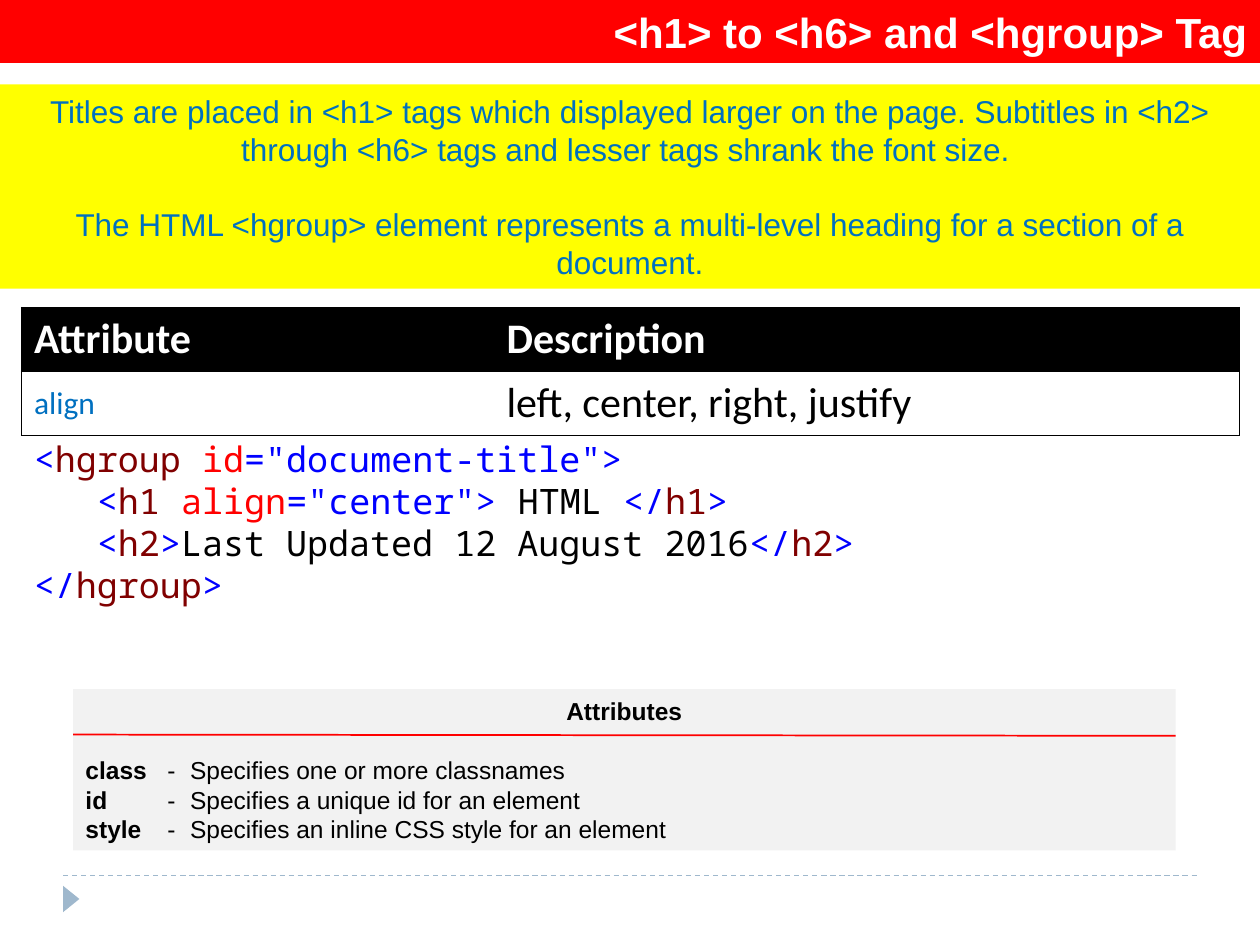
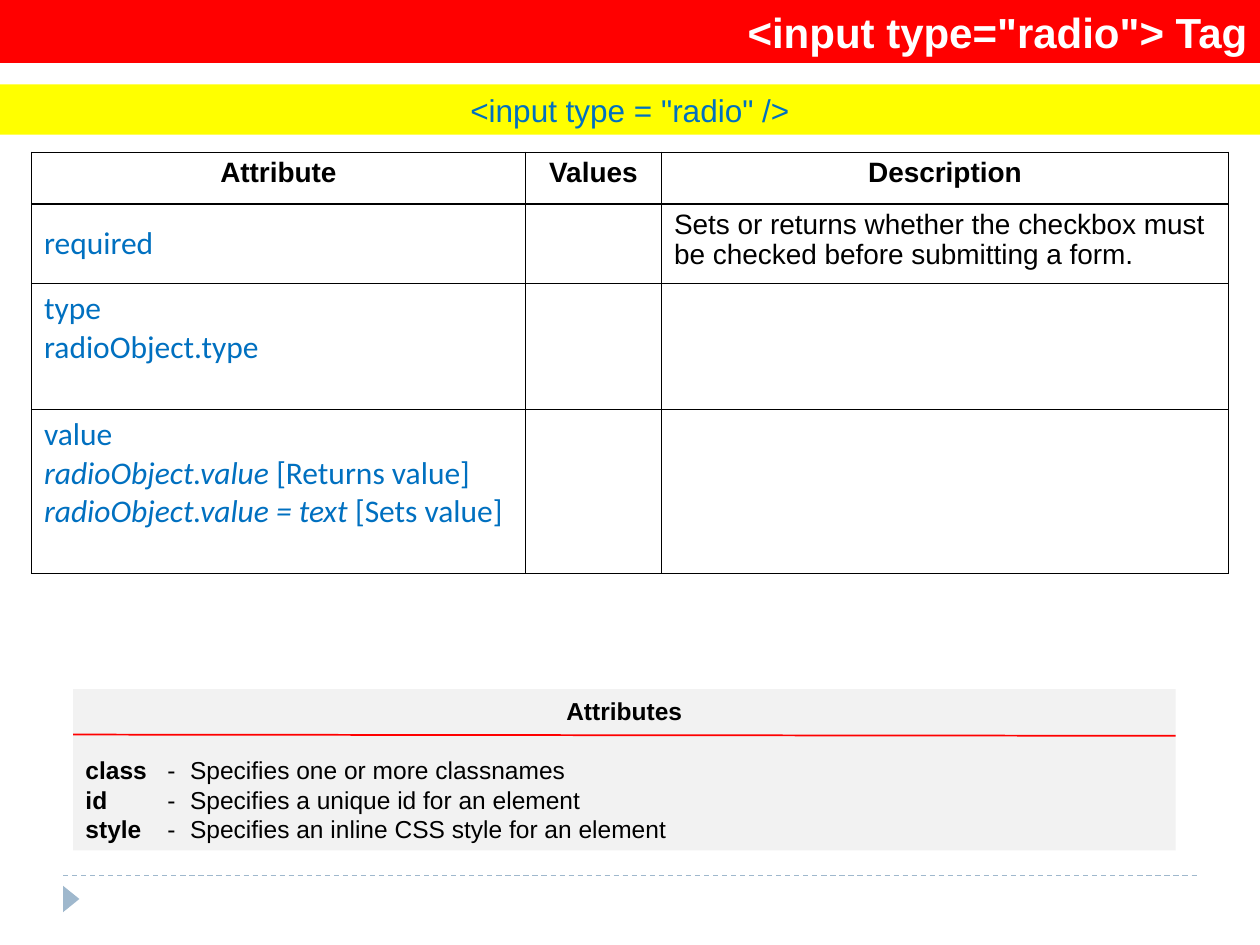
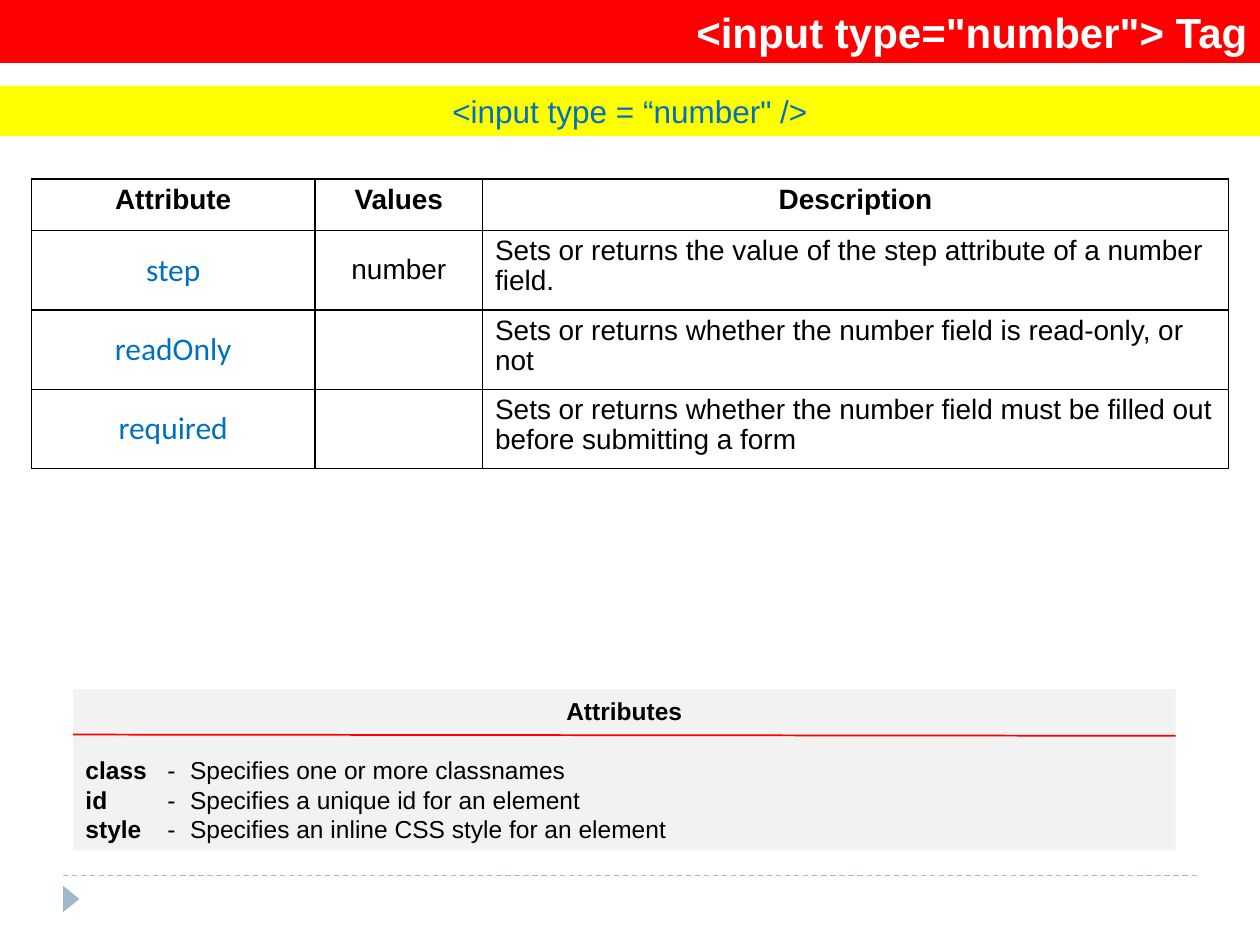
from lxml.etree import SubElement
from pptx import Presentation
from pptx.dml.color import RGBColor
from pptx.enum.dml import MSO_LINE
from pptx.enum.shapes import MSO_CONNECTOR as LINK, MSO_SHAPE as SHAPE
from pptx.enum.text import MSO_ANCHOR as ANCHOR, PP_ALIGN as ALIGN
from pptx.oxml.ns import qn
from pptx.util import Inches, Pt

COLORS = {
    "black": "000000", "white": "FFFFFF", "title": "FF0000", "summary": "FFFF00",
    "panel": "F2F2F2", "footer": "9FB8CD", "term": "0070C0",
    "mark": "0000FF", "tag": "800000", "attr": "FF0000",
}
NO_TABLE_STYLE = "{2D5ABB26-0587-4C30-8999-92F81FD0307C}"
SIDES = {"l": "a:lnL", "r": "a:lnR", "t": "a:lnT", "b": "a:lnB"}

HEADING = dict(size=16, bold=True, align=ALIGN.CENTER, leading=0.96)
TERM = dict(size=18, font="Calibri", color="term")
CENTERED_TERM = dict(TERM, align=ALIGN.CENTER)
DETAIL = dict(size=16, leading=0.96)
VALUE = dict(DETAIL, align=ALIGN.CENTER)
BIG = dict(size=24, font="Calibri")


def rgb(name):
    return RGBColor.from_string(COLORS[name])


def write(frame, paragraphs, size=18, font="Arial", color="black", bold=False,
          align=ALIGN.LEFT, leading=1.0, first_gap=0, tabs=()):
    """Fill a frame; each paragraph is a string or a list of strings and
    (text, overrides) runs. leading is a ratio, or a Pt length."""
    for index, runs in enumerate(paragraphs):
        paragraph = frame.paragraphs[0] if index == 0 else frame.add_paragraph()
        if tabs:
            stops = SubElement(paragraph._p.get_or_add_pPr(), qn("a:tabLst"))
            for stop in tabs:
                SubElement(stops, qn("a:tab"), pos=str(Inches(stop)), algn="l")
        paragraph.alignment = align
        paragraph.line_spacing = leading
        if index == 0 and first_gap:
            paragraph.space_after = Pt(first_gap)
        for part in [runs] if isinstance(runs, str) else runs:
            text, own = (part, {}) if isinstance(part, str) else part
            run = paragraph.add_run()
            run.text = text
            run.font.name = font
            run.font.size = Pt(size)
            run.font.bold = own.get("bold", bold)
            run.font.italic = own.get("italic", False)
            run.font.color.rgb = rgb(own.get("color", color))


def add_block(shapes, kind, left, top, width, height, fill):
    block = shapes.add_shape(kind, Inches(left), Inches(top), Inches(width), Inches(height))
    block.shadow.inherit = False
    block.fill.solid()
    block.fill.fore_color.rgb = rgb(fill)
    block.line.fill.background()
    return block


def add_rule(shapes, start, end, color, width, dash=None):
    rule = shapes.add_connector(LINK.STRAIGHT, *map(Inches, start + end))
    rule.line.color.rgb = rgb(color)
    rule.line.width = Pt(width)
    if dash:
        rule.line.dash_style = dash
    SubElement(rule._element.spPr, qn("a:effectLst"))


def add_band(slide, top, height, fill, paragraphs, size, **style):
    band = add_block(slide.shapes, SHAPE.RECTANGLE, 0, top, 10, height, fill)
    band.text_frame.word_wrap = True
    band.text_frame.vertical_anchor = ANCHOR.MIDDLE
    write(band.text_frame, paragraphs, size=size, leading=Pt(1.2 * size), **style)


def add_summary(slide, paragraphs, top=0.67, height=0.4, **style):
    add_band(slide, top, height, "summary", paragraphs, 18,
             color="term", align=ALIGN.CENTER, **style)


def add_common_attributes(slide):
    group = slide.shapes.add_group_shape()
    panel = add_block(group.shapes, SHAPE.RECTANGLE, 0.58, 5.47, 8.75, 1.28, "panel")
    frame = panel.text_frame
    frame.word_wrap = True
    frame.vertical_anchor = ANCHOR.MIDDLE
    notes = {
        "class": "Specifies one or more classnames",
        "id": "Specifies a unique id for an element",
        "style": "Specifies an inline CSS style for an element",
    }
    lines = [[(name, {"bold": True}), f"\t-\t{note}"] for name, note in notes.items()]
    write(frame, [[("Attributes", {"bold": True})]] + lines, size=14,
          leading=Pt(16.8), first_gap=16.8, tabs=(0.65, 0.83))
    frame.paragraphs[0].alignment = ALIGN.CENTER
    add_rule(group.shapes, (0.58, 5.83), (9.33, 5.84), "title", 1)


def add_tag_slide(deck, title):
    slide = deck.slides.add_slide(deck.slide_layouts[6])
    add_rule(slide.shapes, (0.5, 6.95), (9.5, 6.95), "footer", 0.75, MSO_LINE.DASH)
    pointer = add_block(slide.shapes, SHAPE.ISOSCELES_TRIANGLE, 0.46, 7.07, 0.21, 0.13, "footer")
    pointer.rotation = 90
    add_band(slide, 0, 0.5, "title", [title], 24,
             color="white", bold=True, align=ALIGN.RIGHT)
    add_common_attributes(slide)
    return slide


def draw_borders(cell, sides, width):
    properties = cell._tc.get_or_add_tcPr()
    for side, tag in SIDES.items():
        if side in sides:
            edge = SubElement(properties, qn(tag), w=str(Pt(width)))
            SubElement(SubElement(edge, qn("a:solidFill")), qn("a:srgbClr"), val=COLORS["black"])


def add_grid(slide, left, top, widths, heights, rows, line=1, inner_verticals=True,
             header_fill=None):
    """Each cell is None or (paragraphs, style, anchor)."""
    table = slide.shapes.add_table(
        len(heights), len(widths), Inches(left), Inches(top),
        Inches(sum(widths)), Inches(sum(heights))).table
    table.first_row = table.horz_banding = False
    table._tbl.tblPr.find(qn("a:tableStyleId")).text = NO_TABLE_STYLE
    for column, width in zip(table.columns, widths):
        column.width = Inches(width)
    for row, height in zip(table.rows, heights):
        row.height = Inches(height)
    for r, row in enumerate(rows):
        for c, content in enumerate(row):
            cell = table.cell(r, c)
            sides = "tb"
            if inner_verticals or c == 0:
                sides += "l"
            if inner_verticals or c == len(widths) - 1:
                sides += "r"
            draw_borders(cell, sides, line)
            if header_fill and r == 0:
                cell.fill.solid()
                cell.fill.fore_color.rgb = rgb(header_fill)
            else:
                cell.fill.background()
            if content:
                paragraphs, style, anchor = content
                cell.vertical_anchor = anchor
                write(cell.text_frame, paragraphs, **style)


def top_cell(*paragraphs, **style):
    return paragraphs, style, ANCHOR.TOP


def mid_cell(*paragraphs, **style):
    return paragraphs, style, ANCHOR.MIDDLE


def add_code(slide, lines):
    box = slide.shapes.add_textbox(Inches(0.17), Inches(3.42), Inches(9.67), Inches(1.45))
    box.text_frame.word_wrap = True
    colored = [[(text, {"color": color}) for text, color in line] for line in lines]
    write(box.text_frame, colored, size=20, font="Noto Sans Mono", leading=Pt(24))


def closing(tag):
    return [("</", "mark"), (tag, "tag"), (">", "mark")]


def build_headings(deck):
    slide = add_tag_slide(deck, "<h1> to <h6> and <hgroup> Tag")
    add_summary(slide, [
        "Titles are placed in <h1> tags which displayed larger on the page. "
        "Subtitles in <h2> through <h6> tags and lesser tags shrank the font size. ",
        "The HTML <hgroup> element represents a multi-level heading for a section of a document.",
    ], height=1.62, first_gap=21.6)
    header = dict(BIG, color="white", bold=True)
    add_grid(slide, 0.17, 2.44, (3.75, 5.92), (0.5, 0.5), [
        [top_cell("Attribute", **header), top_cell("Description", **header)],
        [mid_cell("align", **TERM), mid_cell("left, center, right, justify", **BIG)],
    ], line=0.75, inner_verticals=False, header_fill="black")
    indent = ("   ", "black")
    add_code(slide, [
        [("<", "mark"), ("hgroup ", "tag"), ("id", "attr"), ('="document-title">', "mark")],
        [indent, ("<", "mark"), ("h1 ", "tag"), ("align", "attr"),
         ('="center"> ', "mark"), ("HTML ", "black")] + closing("h1"),
        [indent, ("<", "mark"), ("h2", "tag"), (">", "mark"),
         ("Last Updated 12 August 2016", "black")] + closing("h2"),
        closing("hgroup"),
    ])


def build_radio(deck, header):
    slide = add_tag_slide(deck, '<input type="radio"> Tag')
    add_summary(slide, ['<input type = "radio" />'])
    italic = {"italic": True}
    add_grid(slide, 0.25, 1.21, (3.92, 1.08, 4.5), (0.41, 0.63, 1, 1.3), [
        header,
        [mid_cell("required", **TERM), None,
         top_cell("Sets or returns whether the checkbox must be checked "
                  "before submitting a form.", **DETAIL)],
        [top_cell("type", "radioObject.type", **TERM), None, None],
        [top_cell("value",
                  [("radioObject.value", italic), " [Returns value]"],
                  [("radioObject.value = text", italic), " [Sets value]"], **TERM), None, None],
    ])


def build_number(deck, header):
    slide = add_tag_slide(deck, '<input type="number"> Tag')
    add_summary(slide, ['<input type = “number" />'], top=0.68)
    fields = [
        ("step", "number", "Sets or returns the value of the step attribute of a number field."),
        ("readOnly", None, "Sets or returns whether the number field is read-only, or not"),
        ("required", None, "Sets or returns whether the number field must be filled out "
                           "before submitting a form"),
    ]
    rows = [[mid_cell(name, **CENTERED_TERM), value and mid_cell(value, **VALUE),
             top_cell(detail, **DETAIL)] for name, value, detail in fields]
    add_grid(slide, 0.25, 1.42, (2.25, 1.33, 5.92), (0.41, 0.63, 0.63, 0.63), [header] + rows)


def main():
    deck = Presentation()
    deck.slide_width, deck.slide_height = Inches(10), Inches(7.5)
    header = [top_cell(name, **HEADING) for name in ("Attribute", "Values", "Description")]
    build_headings(deck)
    build_radio(deck, header)
    build_number(deck, header)
    deck.save("out.pptx")


if __name__ == "__main__":
    main()
